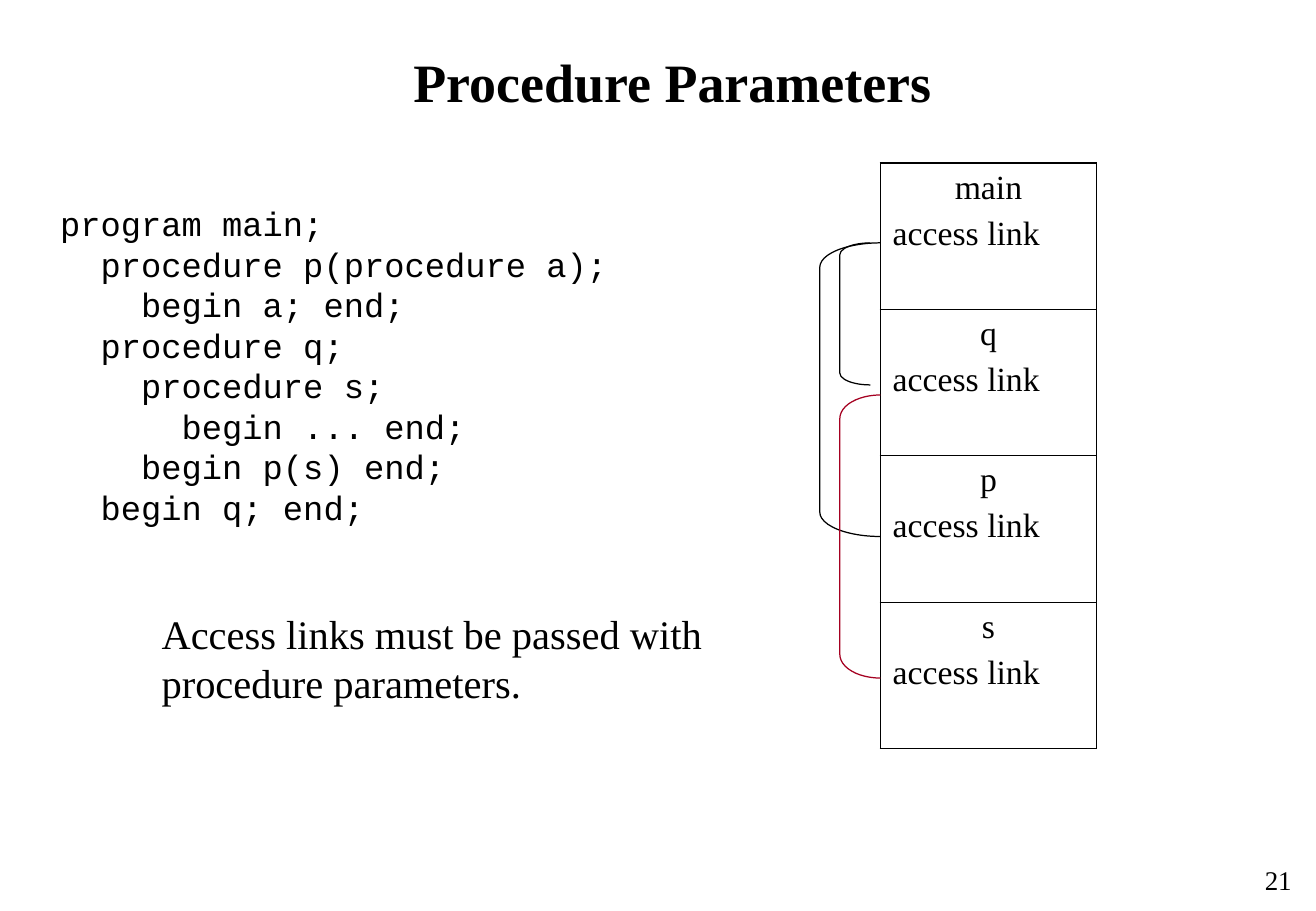
from dataclasses import dataclass

from lxml import etree
from pptx import Presentation
from pptx.dml.color import RGBColor
from pptx.enum.shapes import MSO_SHAPE
from pptx.enum.text import MSO_ANCHOR, PP_ALIGN
from pptx.oxml.ns import qn
from pptx.slide import Slide
from pptx.table import _Cell
from pptx.text.text import _Paragraph
from pptx.util import Cm, Pt

LEFT, CENTER = PP_ALIGN.LEFT, PP_ALIGN.CENTER
TOP, MIDDLE = MSO_ANCHOR.TOP, MSO_ANCHOR.MIDDLE
LEFT_BRACKET = MSO_SHAPE.LEFT_BRACKET

BLACK = RGBColor(0x00, 0x00, 0x00)
CRIMSON = RGBColor(0xA5, 0x00, 0x21)
SERIF = "Times New Roman"
MONOSPACE = "Courier New"

FRAME_NAMES = ("main", "q", "p", "s")
STACK_LEFT, STACK_TOP, STACK_WIDTH, FRAME_HEIGHT = 18.42, 3.41, 4.52, 3.06
OUTER_BORDER, INNER_BORDER = Pt(1.08), Pt(0.45)

CODE = """program main;
  procedure p(procedure a);
    begin a; end;
  procedure q;
    procedure s;
      begin ... end;
    begin p(s) end;
  begin q; end;"""


@dataclass(frozen=True)
class TextBlock:
    text: str
    left: float
    top: float
    width: float
    height: float
    size: int
    font: str = SERIF
    bold: bool = False
    alignment: PP_ALIGN = LEFT
    anchor: MSO_ANCHOR = TOP


@dataclass(frozen=True)
class AccessLink:
    left: float
    top: float
    width: float
    height: float
    color: RGBColor = BLACK


TEXT_BLOCKS = (
    TextBlock("Procedure Parameters", 1.05, 0.43, 26.04, 2.54, 32,
              bold=True, alignment=CENTER, anchor=MIDDLE),
    TextBlock(CODE, 1.01, 4.12, 11.96, 7.87, 20, font=MONOSPACE),
    TextBlock("Access links must be passed with\nprocedure parameters.",
              3.13, 12.61, 12.01, 2.29, 24),
    TextBlock("21", 26.04, 17.96, 1.4, 0.89, 16, alignment=CENTER, anchor=MIDDLE),
)

ACCESS_LINKS = (
    AccessLink(17.57, 5.08, 0.64, 2.97),
    AccessLink(17.15, 5.08, 1.27, 6.14),
    AccessLink(17.57, 8.26, 0.85, 5.92, CRIMSON),
)


def format_paragraph(paragraph: _Paragraph, size: int, font: str = SERIF,
                     bold: bool = False, alignment: PP_ALIGN = LEFT) -> None:
    paragraph.alignment = alignment
    font_values = {"name": font, "size": Pt(size), "bold": bold}
    for attribute, value in font_values.items():
        setattr(paragraph.font, attribute, value)
    paragraph.font.color.rgb = BLACK


def add_text_block(slide: Slide, block: TextBlock) -> None:
    shape = slide.shapes.add_textbox(
        Cm(block.left), Cm(block.top), Cm(block.width), Cm(block.height))
    text_frame = shape.text_frame
    text_frame.word_wrap = False
    text_frame.vertical_anchor = block.anchor
    text_frame.text = block.text
    for paragraph in text_frame.paragraphs:
        format_paragraph(paragraph, block.size, block.font, block.bold, block.alignment)


def add_cell_borders(cell: _Cell, widths: dict[str, int]) -> None:
    properties = cell._tc.get_or_add_tcPr()
    for side, width in widths.items():
        line = etree.SubElement(properties, qn(f"a:ln{side}"), w=str(int(width)))
        fill = etree.SubElement(line, qn("a:solidFill"))
        etree.SubElement(fill, qn("a:srgbClr"), val=str(BLACK))


def add_stack(slide: Slide) -> None:
    """Draw the activation records as a one-column table."""
    count = len(FRAME_NAMES)
    table = slide.shapes.add_table(
        count, 1, Cm(STACK_LEFT), Cm(STACK_TOP),
        Cm(STACK_WIDTH), Cm(count * FRAME_HEIGHT)).table
    table.first_row = False
    table.horz_banding = False
    for row, name in enumerate(FRAME_NAMES):
        cell = table.cell(row, 0)
        cell.text = f"{name}\naccess link"
        heading, link_label = cell.text_frame.paragraphs
        format_paragraph(heading, 20, alignment=CENTER)
        format_paragraph(link_label, 20)
        link_label.space_before = Pt(5)
        add_cell_borders(cell, {
            "L": OUTER_BORDER,
            "R": OUTER_BORDER,
            "T": OUTER_BORDER if row == 0 else INNER_BORDER,
            "B": OUTER_BORDER if row == count - 1 else INNER_BORDER,
        })
        cell.fill.background()


def add_access_link(slide: Slide, link: AccessLink) -> None:
    """Draw a bracket whose corners each take a twelfth of its height."""
    shape = slide.shapes.add_shape(
        LEFT_BRACKET, Cm(link.left), Cm(link.top), Cm(link.width), Cm(link.height))
    shape.adjustments[0] = link.height / 12 / link.width
    shape.shadow.inherit = False
    shape.fill.background()
    shape.line.color.rgb = link.color
    shape.line.width = Pt(0.75)


def main() -> None:
    presentation = Presentation()
    presentation.slide_width = Cm(27.53)
    presentation.slide_height = Cm(19.05)
    slide = presentation.slides.add_slide(presentation.slide_layouts[6])
    for block in TEXT_BLOCKS:
        add_text_block(slide, block)
    add_stack(slide)
    for link in ACCESS_LINKS:
        add_access_link(slide, link)
    presentation.save("out.pptx")


if __name__ == "__main__":
    main()
